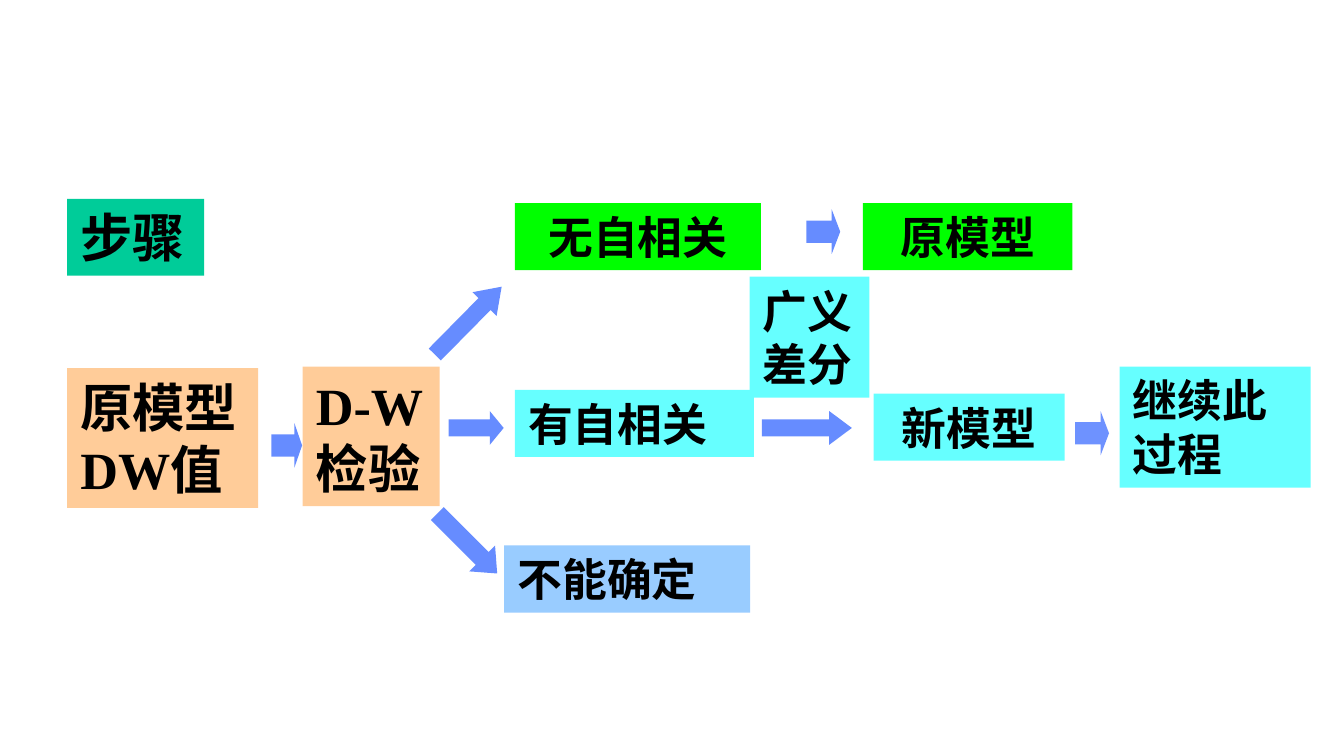
from dataclasses import dataclass

from lxml.etree import SubElement
from pptx import Presentation
from pptx.dml.color import RGBColor
from pptx.enum.shapes import MSO_SHAPE
from pptx.enum.text import MSO_ANCHOR, PP_ALIGN
from pptx.oxml.ns import qn
from pptx.shapes.autoshape import Shape
from pptx.slide import Slide
from pptx.util import Cm, Pt

COLORS = {
    "heading": "00CC99",
    "input": "FFCC99",
    "accepted": "00FF00",
    "correction": "66FFFF",
    "undecided": "99CCFF",
    "arrow": "3366FF",
    "text": "000000",
}
HAN_FONT = "Arial"
LATIN_FONT = "Times New Roman"


@dataclass
class Box:
    runs: tuple[str, ...]
    color: str
    left: float
    top: float
    width: float
    height: float
    size: int = 24
    centered: bool = False


@dataclass
class Arrow:
    left: float
    top: float
    width: float
    height: float
    head: float = 0.25
    rotation: float = 0
    opacity: int = 75


BOXES = [
    Box(("步骤",), "heading", 1.27, 3.76, 2.59, 1.45, size=28),
    Box(("原模型 ", "DW", "值"), "input", 1.27, 6.96, 3.61, 2.64, size=28),
    Box(("D-W", "检验"), "input", 5.72, 6.93, 2.59, 2.64, size=28),
    # Outcomes of the test
    Box(("无自相关",), "accepted", 9.73, 3.84, 4.65, 1.27, centered=True),
    Box(("有自相关",), "correction", 9.73, 7.37, 4.52, 1.27),
    Box(("不能确定",), "undecided", 9.53, 10.31, 4.65, 1.27),
    # Resulting models
    Box(("广义差分",), "correction", 14.17, 5.23, 2.26, 2.29),
    Box(("原模型",), "accepted", 16.31, 3.84, 3.96, 1.27, centered=True),
    Box(("新模型",), "correction", 16.51, 7.44, 3.61, 1.27, centered=True),
    Box(("继续此过程",), "correction", 21.16, 6.93, 3.61, 2.29),
]

ARROWS = [
    Arrow(5.13, 8.0, 0.58, 0.84),
    # From the test to its three outcomes
    Arrow(7.95, 5.74, 1.8, 0.64, head=0.72, rotation=314.6),
    Arrow(8.48, 7.77, 1.04, 0.64, head=0.41),
    Arrow(8.03, 9.93, 1.6, 0.69, head=0.58, rotation=45),
    # From the outcomes to the models
    Arrow(15.24, 3.96, 0.64, 0.84),
    Arrow(14.4, 7.77, 1.7, 0.64, head=0.67),
    Arrow(20.32, 7.77, 0.64, 0.84, opacity=71),
]


def add_filled_shape(slide: Slide, kind: MSO_SHAPE, item: Box | Arrow, color: str) -> Shape:
    shape = slide.shapes.add_shape(
        kind, Cm(item.left), Cm(item.top), Cm(item.width), Cm(item.height)
    )
    shape.shadow.inherit = False
    shape.fill.solid()
    shape.fill.fore_color.rgb = RGBColor.from_string(COLORS[color])
    shape.line.fill.background()
    return shape


def add_box(slide: Slide, box: Box) -> None:
    shape = add_filled_shape(slide, MSO_SHAPE.RECTANGLE, box, box.color)
    frame = shape.text_frame
    frame.word_wrap = True
    frame.vertical_anchor = MSO_ANCHOR.MIDDLE if box.centered else MSO_ANCHOR.TOP
    paragraph = frame.paragraphs[0]
    paragraph.alignment = PP_ALIGN.CENTER if box.centered else PP_ALIGN.LEFT
    paragraph.font.size = Pt(box.size)
    paragraph.font.bold = True
    paragraph.font.color.rgb = RGBColor.from_string(COLORS["text"])
    paragraph.font.name = HAN_FONT
    for text in box.runs:
        run = paragraph.add_run()
        run.text = text
        run.font.size = Pt(box.size)
        run.font.bold = True
        run.font.color.rgb = RGBColor.from_string(COLORS["text"])
        run.font.name = LATIN_FONT if text.isascii() else HAN_FONT


def add_arrow(slide: Slide, arrow: Arrow) -> None:
    shape = add_filled_shape(slide, MSO_SHAPE.RIGHT_ARROW, arrow, "arrow")
    shape.adjustments[1] = arrow.head
    shape.rotation = arrow.rotation
    # Transparency of the fill
    color = shape.element.spPr.find(qn("a:solidFill")).find(qn("a:srgbClr"))
    SubElement(color, qn("a:alpha"), val=str(arrow.opacity * 1000))


def main() -> None:
    presentation = Presentation()
    presentation.slide_width = Cm(25.4)
    presentation.slide_height = Cm(14.29)
    slide = presentation.slides.add_slide(presentation.slide_layouts[6])
    for box in BOXES:
        add_box(slide, box)
    for arrow in ARROWS:
        add_arrow(slide, arrow)
    presentation.save("out.pptx")


if __name__ == "__main__":
    main()
